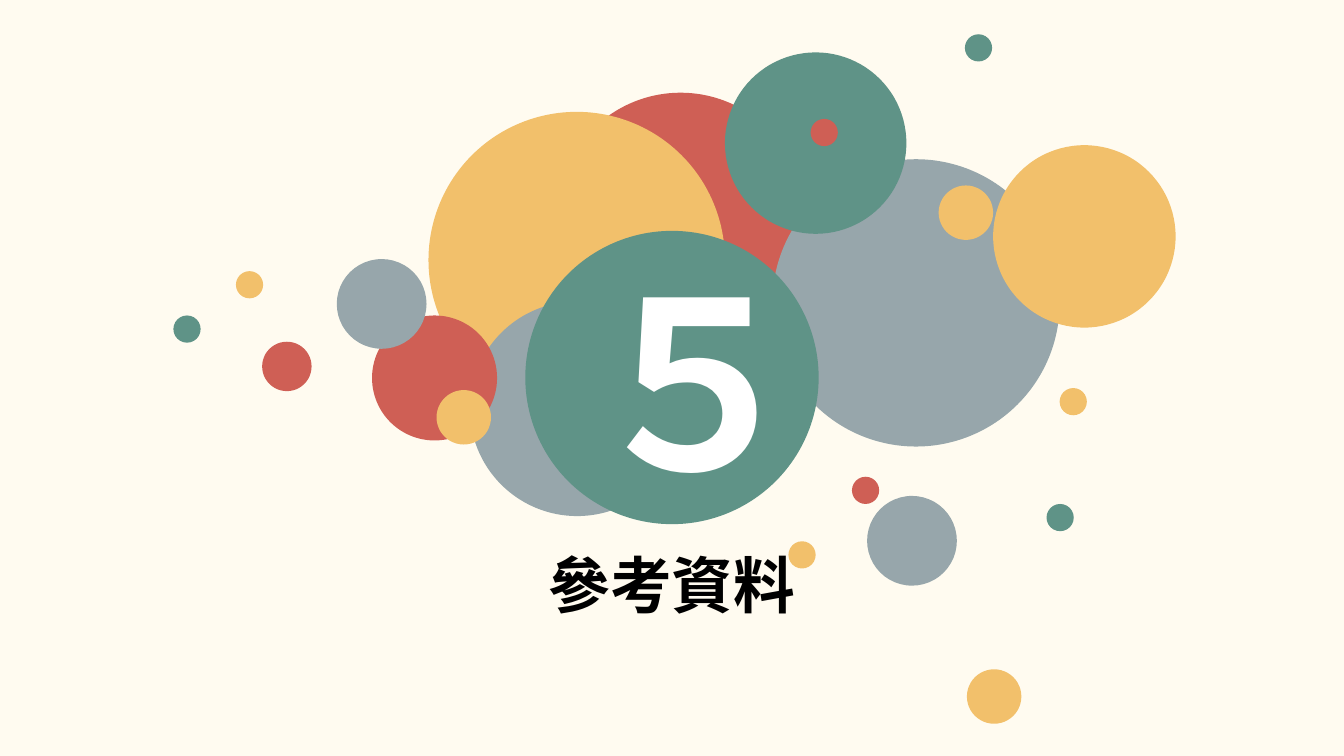
import pptx
import pptx.util
import pptx.dml.color
import pptx.enum.shapes
import pptx.enum.text
import pptx.oxml.ns
import lxml.etree

Inches = pptx.util.Inches
RGB = pptx.dml.color.RGBColor.from_string
FONT = "Noto Sans CJK SC"
COLORS = {
    "cream": "FFFBF0",
    "red": "CF5F55",
    "yellow": "F2C06B",
    "gray": "97A6AB",
    "green": "5F9387",
    "white": "FFFFFF",
    "black": "000000",
}
CIRCLES = [
    (5.52, 0.92, 2.46, "red"),
    (4.25, 1.11, 2.94, "yellow"),
    (4.66, 2.99, 2.13, "gray"),
    (7.66, 1.58, 2.85, "gray"),
    (7.19, 0.52, 1.8, "green"),
    (3.69, 3.13, 1.24, "red"),
    (8.6, 4.92, 0.89, "gray"),
    (8.45, 4.73, 0.27, "red"),
    (7.82, 5.37, 0.27, "yellow"),
    (10.38, 5, 0.27, "green"),
    (9.59, 6.64, 0.54, "yellow"),
    (9.85, 1.44, 1.81, "yellow"),
    (3.34, 2.57, 0.89, "gray"),
    (2.6, 3.39, 0.49, "red"),
    (2.34, 2.69, 0.27, "yellow"),
    (1.72, 3.13, 0.27, "green"),
    (4.33, 3.87, 0.54, "yellow"),
    (8.04, 1.18, 0.27, "red"),
    (10.51, 3.85, 0.27, "yellow"),
    (9.57, 0.34, 0.27, "green"),
    (9.31, 1.84, 0.54, "yellow"),
]


def add_circle(left, top, size, color):
    sp = s.shapes.add_shape(pptx.enum.shapes.MSO_SHAPE.OVAL,
                            Inches(left), Inches(top), Inches(size), Inches(size))
    sp.shadow.inherit = False
    sp.fill.solid()
    sp.fill.fore_color.rgb = RGB(COLORS[color])
    sp.line.fill.background()
    return sp


def write_text(sp, text, size, color):
    tf = sp.text_frame
    tf.text = text
    tf.word_wrap = True
    tf.auto_size = pptx.enum.text.MSO_AUTO_SIZE.NONE
    tf.vertical_anchor = pptx.enum.text.MSO_ANCHOR.MIDDLE
    p = tf.paragraphs[0]
    p.alignment = pptx.enum.text.PP_ALIGN.CENTER
    r = p.runs[0]
    r.font.name = FONT
    r.font.size = pptx.util.Pt(size)
    r.font.bold = True
    r.font.color.rgb = RGB(COLORS[color])
    ea = lxml.etree.SubElement(r.font._element, pptx.oxml.ns.qn("a:ea"))
    ea.set("typeface", FONT)


prs = pptx.Presentation()
prs.slide_width = Inches(13.33)
prs.slide_height = Inches(7.5)
s = prs.slides.add_slide(prs.slide_layouts[5])
s.background.fill.solid()
s.background.fill.fore_color.rgb = RGB(COLORS["cream"])

for left, top, size, color in CIRCLES:
    add_circle(left, top, size, color)

number = add_circle(5.21, 2.29, 2.91, "green")
write_text(number, "５", 166, "white")

title = s.shapes.title
title.left, title.top = Inches(3.65), Inches(5.37)
title.width, title.height = Inches(6.03), Inches(0.84)
write_text(title, "參考資料", 44, "black")
s.shapes.element.append(title.element)

prs.save("out.pptx")
